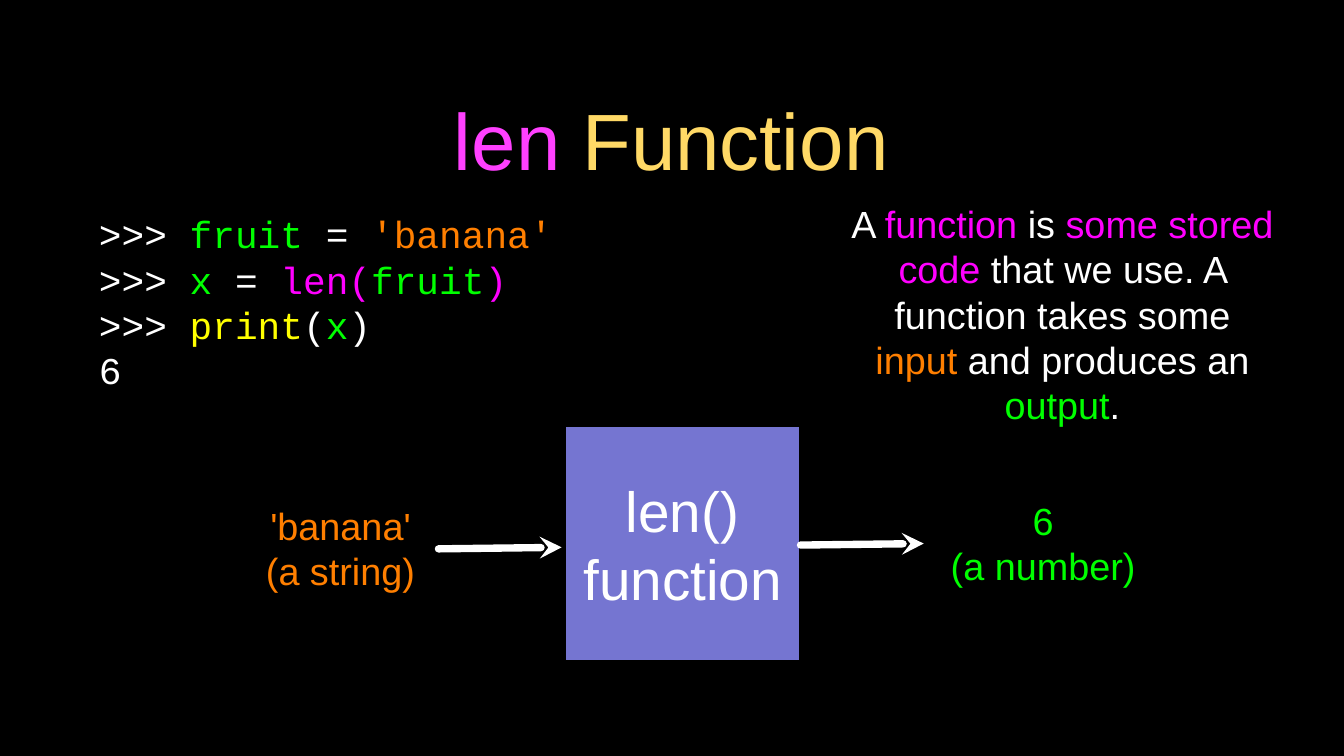
import pptx
import pptx.dml.color
import pptx.enum.shapes
import pptx.enum.text
import pptx.oxml
import pptx.oxml.ns
import pptx.util
from pptx.util import Inches

WHITE, BLACK = "FFFFFF", "000000"
GREEN, ORANGE, MAGENTA = "00FF00", "FF7F00", "FF00FF"
YELLOW, PINK, GOLD, VIOLET = "FFFF00", "FF40FF", "FFD966", "7575D1"
CENTER = pptx.enum.text.PP_ALIGN.CENTER
LEFT = pptx.enum.text.PP_ALIGN.LEFT


def color(value):
    return pptx.dml.color.RGBColor.from_string(value)


def write_text(shape, lines, size, font_name="Arial", alignment=CENTER, margin=0):
    """Each line is a list of (text, color) pieces."""
    frame = shape.text_frame
    frame_format = {
        "word_wrap": True,
        "vertical_anchor": pptx.enum.text.MSO_ANCHOR.MIDDLE,
        "margin_left": Inches(margin),
        "margin_right": Inches(margin),
        "margin_top": Inches(margin),
        "margin_bottom": Inches(margin),
    }
    for name, value in frame_format.items():
        setattr(frame, name, value)
    for index, line in enumerate(lines):
        paragraph = frame.add_paragraph() if index else frame.paragraphs[0]
        paragraph.alignment = alignment
        for text, text_color in line:
            run = paragraph.add_run()
            run.text = text
            font_format = {"name": font_name, "size": pptx.util.Pt(size)}
            for name, value in font_format.items():
                setattr(run.font, name, value)
            run.font.color.rgb = color(text_color)


presentation = pptx.Presentation()
presentation.slide_width = Inches(17.78)
presentation.slide_height = Inches(10)
slide = presentation.slides.add_slide(presentation.slide_layouts[6])
slide.background.fill.solid()
slide.background.fill.fore_color.rgb = color(BLACK)

# Title
title = slide.shapes.add_textbox(Inches(1.26), Inches(0.89), Inches(15.24), Inches(1.88))
write_text(title, [[("len ", PINK), ("Function", GOLD)]], 76, margin=0.04)

# Interpreter session
code_lines = [
    [(">>> ", WHITE), ("fruit ", GREEN), ("=", WHITE), (" 'banana'", ORANGE)],
    [(">>> ", WHITE), ("x ", GREEN), ("= ", WHITE), ("len(", MAGENTA),
     ("fruit", GREEN), (")", MAGENTA)],
    [(">>> ", WHITE), ("print", YELLOW), ("(", WHITE), ("x", GREEN), (")", WHITE)],
    [("6", WHITE)],
]
code = slide.shapes.add_textbox(Inches(1.31), Inches(2.78), Inches(6.17), Inches(2.42))
write_text(code, code_lines, 36, "Courier New", LEFT)

# Function box
function_box = slide.shapes.add_shape(
    pptx.enum.shapes.MSO_SHAPE.RECTANGLE,
    Inches(7.49), Inches(5.65), Inches(3.08), Inches(3.08))
function_box.shadow.inherit = False
function_box.fill.solid()
function_box.fill.fore_color.rgb = color(VIOLET)
function_box.line.fill.background()
write_text(function_box, [[("len()", WHITE)], [("function", WHITE)]], 54)

# Input and output labels, and the explanation
labels = [
    (3.51, 6.64, 1.99, 1.21, [[("'banana'", ORANGE)], [("(a string)", ORANGE)]]),
    (12.51, 6.56, 2.58, 1.25, [[("6", GREEN)], [("(a number)", GREEN)]]),
    (11.25, 2.96, 5.61, 2.39, [[
        ("A ", WHITE), ("function", MAGENTA), (" is ", WHITE),
        ("some stored code", MAGENTA),
        (" that we use. A function takes some ", WHITE), ("input", ORANGE),
        (" and produces an ", WHITE), ("output", GREEN), (".", WHITE)]]),
]
for left, top, width, height, lines in labels:
    label = slide.shapes.add_textbox(Inches(left), Inches(top), Inches(width), Inches(height))
    write_text(label, lines, 36)

# Arrows into and out of the box, each starting at its pointed end
for tip_x, tip_y in [(7.43, 7.24), (12.22, 7.19)]:
    arrow = slide.shapes.add_connector(
        pptx.enum.shapes.MSO_CONNECTOR.STRAIGHT,
        Inches(tip_x), Inches(tip_y), Inches(tip_x - 1.63), Inches(tip_y + 0.02))
    arrow.line.width = pptx.util.Pt(7)
    arrow.line.color.rgb = color(WHITE)
    line_element = arrow.line._get_or_add_ln()
    line_element.set("cap", "rnd")
    namespace = pptx.oxml.ns.nsdecls("a")
    for tag in ('round', 'headEnd type="stealth"'):
        line_element.append(pptx.oxml.parse_xml(f"<a:{tag} {namespace}/>"))
    arrow._element.spPr.append(pptx.oxml.parse_xml(f"<a:effectLst {namespace}/>"))

presentation.save("out.pptx")
